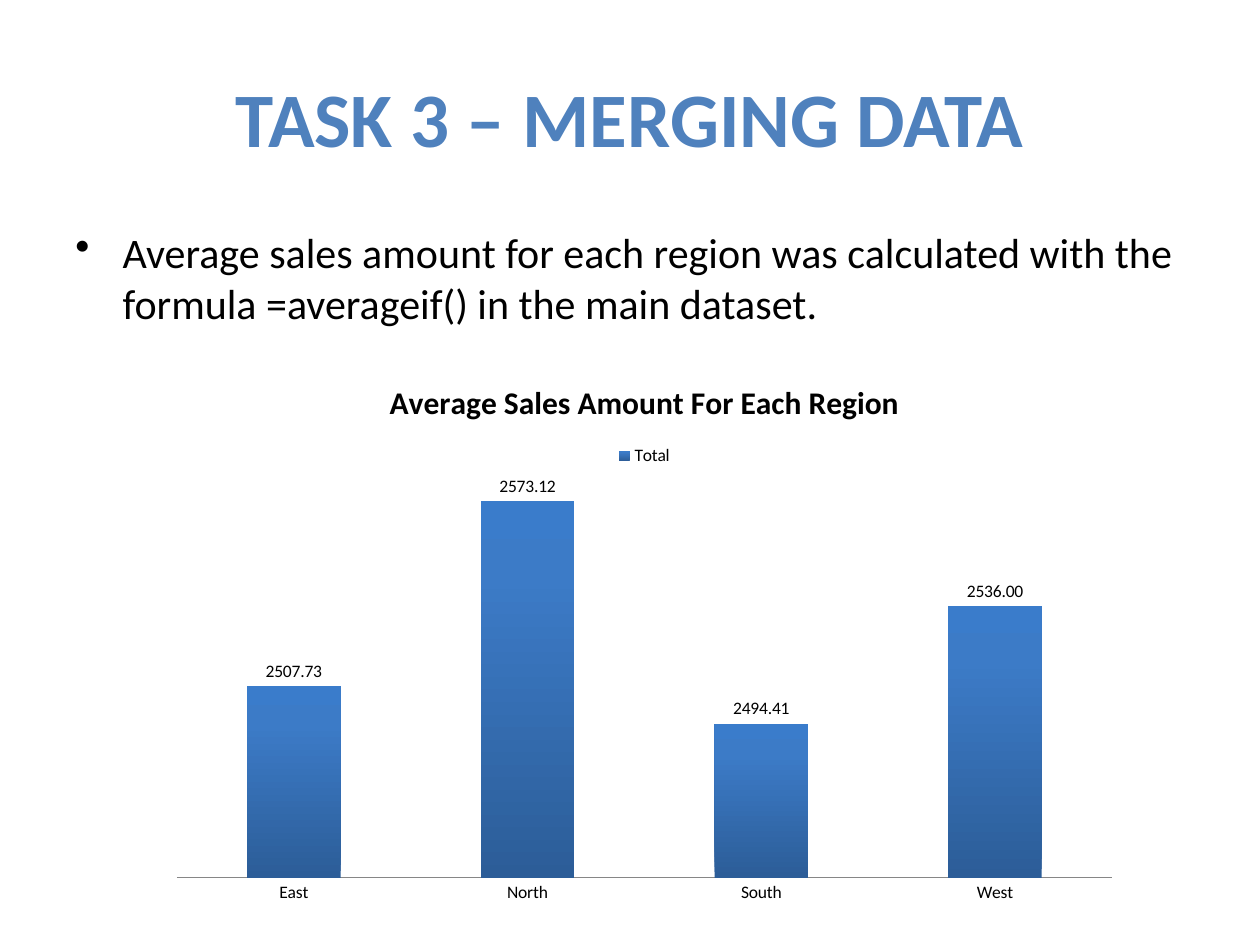
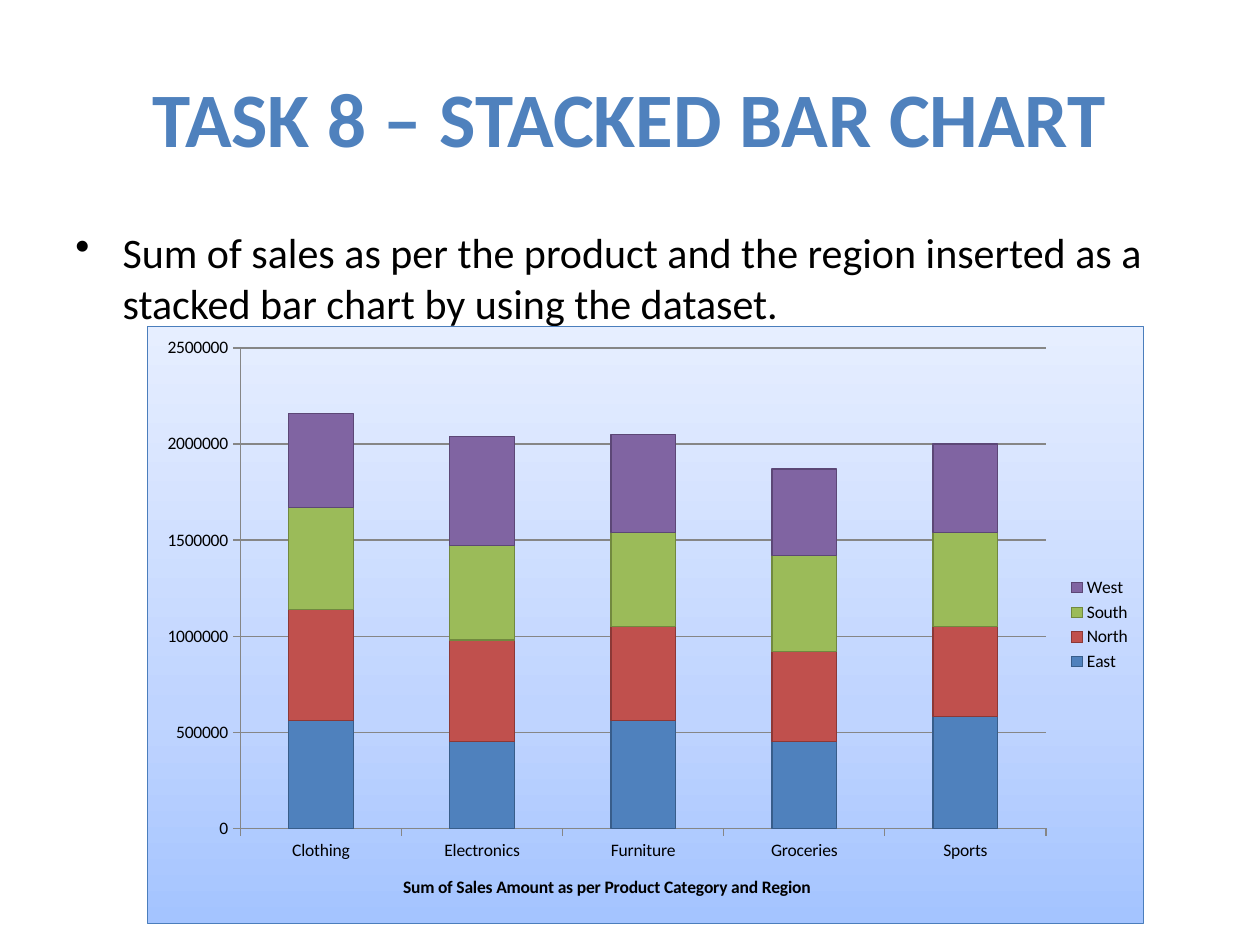
from dataclasses import dataclass

from lxml import etree
from pptx import Presentation
from pptx import util as u
from pptx.chart import data as chart_data
from pptx.dml.color import RGBColor
from pptx.enum import chart as chart_enum
from pptx.enum import text
from pptx.oxml import parse_xml
from pptx.oxml.ns import nsdecls, qn

FONT = "Calibri"
BLACK = RGBColor(0x00, 0x00, 0x00)
GREY = RGBColor(0x86, 0x86, 0x86)
BLUE = RGBColor(0x4F, 0x81, 0xBD)
RED = RGBColor(0xC0, 0x50, 0x4D)
GREEN = RGBColor(0x9B, 0xBB, 0x59)
PURPLE = RGBColor(0x80, 0x64, 0xA2)
DARK_BLUE = RGBColor(0x38, 0x5D, 0x8A)
DARK_RED = RGBColor(0x8C, 0x38, 0x36)
DARK_GREEN = RGBColor(0x71, 0x89, 0x3F)
DARK_PURPLE = RGBColor(0x5C, 0x47, 0x76)
FRAME_BLUE = RGBColor(0x4B, 0x7E, 0xBC)
BAR_STOPS = (
    (0, RGBColor(0x2C, 0x5D, 0x98)),
    (80, RGBColor(0x3C, 0x7B, 0xC7)),
    (100, RGBColor(0x3A, 0x7C, 0xCB)),
)
PANEL_STOPS = (
    (0, RGBColor(0xA4, 0xC4, 0xFF)),
    (35, RGBColor(0xBF, 0xD4, 0xFF)),
    (100, RGBColor(0xE6, 0xEE, 0xFF)),
)


@dataclass(frozen=True)
class Area:
    left: float
    top: float
    width: float
    height: float

    def lengths(self) -> tuple:
        return tuple(u.Pt(value) for value in (self.left, self.top, self.width, self.height))


@dataclass(frozen=True)
class Series:
    name: str
    values: tuple
    color: RGBColor
    border: RGBColor


@dataclass(frozen=True)
class Task:
    title: str
    bullet: str
    chart_area: Area
    chart_type: chart_enum.XL_CHART_TYPE
    categories: tuple
    series: tuple
    overlap: int
    legend: chart_enum.XL_LEGEND_POSITION


TITLE_AREA = Area(36, 21.6, 648, 90)
BODY_AREA = Area(36, 126, 648, 72)

AVERAGES = Task(
    "TASK 3 – MERGING DATA",
    "Average sales amount for each region was calculated with the formula "
    "=averageif() in the main dataset.",
    Area(90, 204, 556.5, 318),
    chart_enum.XL_CHART_TYPE.COLUMN_CLUSTERED,
    ("East", "North", "South", "West"),
    (Series("Total", (2507.73, 2573.12, 2494.41, 2536), BLUE, BLUE),),
    -25,
    chart_enum.XL_LEGEND_POSITION.TOP,
)
SUMS = Task(
    "TASK 8 – STACKED BAR CHART",
    "Sum of sales as per the product and the region inserted as a stacked bar chart "
    "by using the dataset.",
    Area(84, 186, 570, 342),
    chart_enum.XL_CHART_TYPE.COLUMN_STACKED,
    ("Clothing", "Electronics", "Furniture", "Groceries", "Sports"),
    (
        Series("East", (560000, 450000, 560000, 450000, 580000), BLUE, DARK_BLUE),
        Series("North", (580000, 530000, 490000, 470000, 470000), RED, DARK_RED),
        Series("South", (530000, 490000, 490000, 500000, 490000), GREEN, DARK_GREEN),
        Series("West", (490000, 570000, 510000, 450000, 460000), PURPLE, DARK_PURPLE),
    ),
    100,
    chart_enum.XL_LEGEND_POSITION.RIGHT,
)


def set_font(font, size: float, color: RGBColor = BLACK, bold: bool = False) -> None:
    font.name = FONT
    font.size = u.Pt(size)
    font.bold = bold
    font.color.rgb = color


def add_text(page, area: Area, words: str, anchor):
    box = page.shapes.add_textbox(*area.lengths())
    frame = box.text_frame
    frame.word_wrap = True
    frame.vertical_anchor = anchor
    frame.text = words
    return frame.paragraphs[0]


def add_title(page, words: str) -> None:
    para = add_text(page, TITLE_AREA, words, text.MSO_ANCHOR.MIDDLE)
    para.alignment = text.PP_ALIGN.CENTER
    set_font(para.font, 44, BLUE, True)


def add_bullet(page, words: str) -> None:
    para = add_text(page, BODY_AREA, words, text.MSO_ANCHOR.TOP)
    para.space_before = u.Pt(4.8)
    set_font(para.font, 24)
    properties = para._p.get_or_add_pPr()
    properties.set("marL", str(u.Pt(27)))
    properties.set("indent", str(-u.Pt(27)))
    mark = parse_xml(f'<a:buChar {nsdecls("a")} char="•"/>')
    properties.find(qn("a:spcBef")).addnext(mark)


def gradient(stops: tuple) -> etree.ElementBase:
    marks = "".join(
        f'<a:gs pos="{percent * 1000}"><a:srgbClr val="{color}"/></a:gs>'
        for percent, color in stops
    )
    return parse_xml(
        f'<a:gradFill {nsdecls("a")} rotWithShape="1"><a:gsLst>{marks}</a:gsLst>'
        '<a:lin ang="16200000" scaled="0"/></a:gradFill>'
    )


def set_line(line, color: RGBColor) -> None:
    line.color.rgb = color
    line.width = u.Pt(0.75)


def label_title(title, words: str, size: float) -> None:
    title.text_frame.text = words
    set_font(title.text_frame.paragraphs[0].font, size, bold=True)


def add_chart(page, task: Task):
    table = chart_data.CategoryChartData()
    table.categories = task.categories
    for series in task.series:
        table.add_series(series.name, series.values)
    chart = page.shapes.add_chart(task.chart_type, *task.chart_area.lengths(), table).chart
    set_font(chart.font, 10)
    chart.has_title = False
    chart.has_legend = True
    chart.legend.position = task.legend
    chart.legend.include_in_layout = False
    set_font(chart.legend.font, 10)
    plot = chart.plots[0]
    plot.gap_width = 150
    plot.overlap = task.overlap
    plot.vary_by_categories = False
    for bars, series in zip(plot.series, task.series):
        bars.invert_if_negative = False
        bars.format.fill.solid()
        bars.format.fill.fore_color.rgb = series.color
    for axis in (chart.category_axis, chart.value_axis):
        set_line(axis.format.line, GREY)
        set_font(axis.tick_labels.font, 10)
    return chart


def style_averages(chart) -> None:
    chart.has_title = True
    label_title(chart.chart_title, "Average Sales Amount For Each Region", 18)
    chart.category_axis.major_tick_mark = chart_enum.XL_TICK_MARK.NONE
    values = chart.value_axis
    values.minimum_scale = 2440
    values.maximum_scale = 2580
    values.has_major_gridlines = False
    values.visible = False
    bars = chart.plots[0].series[0]
    properties = bars._element.find(qn("c:spPr"))
    properties.replace(properties.find(qn("a:solidFill")), gradient(BAR_STOPS))
    bars.format.line.fill.background()
    labels = bars.data_labels
    labels.show_value = True
    labels.number_format = "0.00"
    labels.number_format_is_linked = False
    labels.position = chart_enum.XL_LABEL_POSITION.OUTSIDE_END
    set_font(labels.font, 10)


def style_sums(chart) -> None:
    for bars, series in zip(chart.plots[0].series, SUMS.series):
        set_line(bars.format.line, series.border)
    for axis in (chart.category_axis, chart.value_axis):
        axis.major_tick_mark = chart_enum.XL_TICK_MARK.OUTSIDE
    label_title(
        chart.category_axis.axis_title, "Sum of Sales Amount as per Product Category and Region", 10
    )
    values = chart.value_axis
    values.minimum_scale = 0
    values.maximum_scale = 2500000
    values.major_unit = 500000
    values.has_major_gridlines = True
    set_line(values.major_gridlines.format.line, GREY)
    panel = parse_xml(
        f'<c:spPr {nsdecls("c", "a")}><a:ln w="{u.Pt(0.75)}"><a:solidFill>'
        f'<a:srgbClr val="{FRAME_BLUE}"/></a:solidFill></a:ln></c:spPr>'
    )
    panel.insert(0, gradient(PANEL_STOPS))
    chart._chartSpace.find(qn("c:chart")).addnext(panel)


def main() -> None:
    deck = Presentation()
    deck.slide_width = u.Pt(720)
    deck.slide_height = u.Pt(540)
    for task, style in ((AVERAGES, style_averages), (SUMS, style_sums)):
        page = deck.slides.add_slide(deck.slide_layouts[6])
        add_title(page, task.title)
        add_bullet(page, task.bullet)
        style(add_chart(page, task))
    deck.save("out.pptx")


if __name__ == "__main__":
    main()
